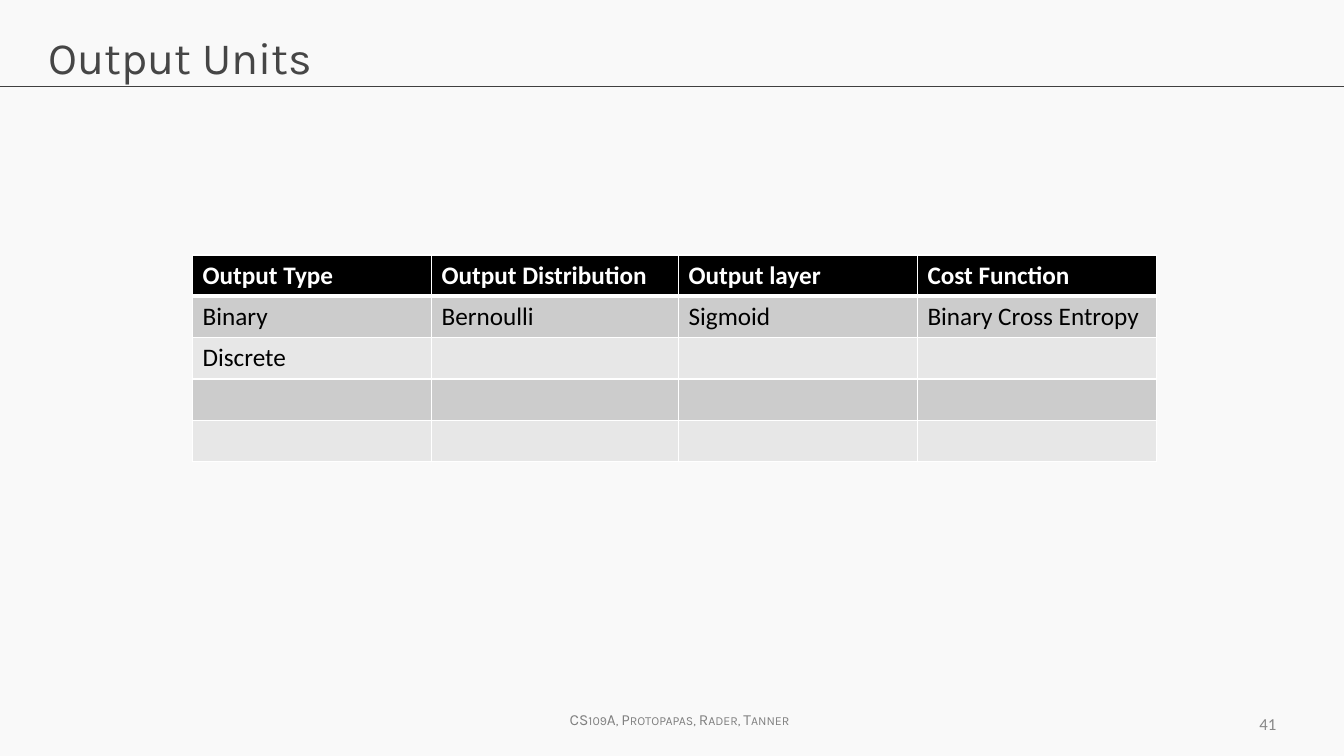
from dataclasses import dataclass

from lxml import etree
from pptx import Presentation
from pptx import util as u
from pptx.dml.color import RGBColor
from pptx.enum import shapes, text
from pptx.oxml import ns


@dataclass(frozen=True)
class Theme:
    page: str = "F9F9F9"
    title: str = "464646"
    rule: str = "404040"
    foot: str = "808080"
    num: str = "888888"
    head: str = "000000"
    bands: tuple = ("CCCCCC", "E7E7E7")
    white: str = "FFFFFF"
    black: str = "000000"
    sans: str = "Karla"
    body: str = "Calibri"
    big: int = 32
    mid: int = 18
    small: int = 12
    tiny: int = 11


@dataclass(frozen=True)
class Box:
    """A frame in inches."""
    x: float
    y: float
    w: float
    h: float

    def emu(self) -> tuple:
        return tuple(u.Inches(v) for v in (self.x, self.y, self.w, self.h))


@dataclass(frozen=True)
class Note:
    """A small line of text at the foot of the slide."""
    box: Box
    words: str
    face: str
    size: int
    color: str
    align: text.PP_ALIGN
    anchor: text.MSO_ANCHOR
    caps: bool = False


T = Theme()
WIDE, HIGH = 13.33, 7.5
RULE_Y = 0.86
TITLE = Box(0.38, 0.24, 12.57, 0.84)
COLS = (2.37, 2.45, 2.37, 2.37)
ROW = 0.41
GRID = (
    ("Output Type", "Output Distribution", "Output layer", "Cost Function"),
    ("Binary", "Bernoulli", "Sigmoid", "Binary Cross Entropy"),
    ("Discrete", "", "", ""),
    ("",) * 4,
    ("",) * 4,
)
TABLE = Box(1.91, 2.53, sum(COLS), ROW * len(GRID))
NOTES = (
    Note(Box(12.43, 7.05, 0.28, 0.27), "41", T.body, T.small, T.num,
         text.PP_ALIGN.RIGHT, text.MSO_ANCHOR.MIDDLE),
    Note(Box(5.49, 7, 2.5, 0.29), "CS109A, Protopapas, Rader, Tanner",
         T.sans, T.tiny, T.foot, text.PP_ALIGN.CENTER,
         text.MSO_ANCHOR.TOP, caps=True),
)


def rgb(code: str) -> RGBColor:
    return RGBColor.from_string(code)


def style(para, face: str, size: int, color: str, bold: bool = False) -> None:
    font = para.font
    font.name, font.size, font.bold = face, u.Pt(size), bold
    font.color.rgb = rgb(color)


def edge(cell, side: str, width: float) -> None:
    props = cell._tc.get_or_add_tcPr()
    line = etree.SubElement(props, ns.qn(f"a:ln{side}"), w=str(u.Pt(width)))
    fill = etree.SubElement(line, ns.qn("a:solidFill"))
    etree.SubElement(fill, ns.qn("a:srgbClr"), val=T.white)


def add_title(slide, words: str) -> None:
    shape = slide.shapes.title
    shape.left, shape.top, shape.width, shape.height = TITLE.emu()
    frame = shape.text_frame
    frame.text = words
    frame.vertical_anchor = text.MSO_ANCHOR.TOP
    para = frame.paragraphs[0]
    para.alignment = text.PP_ALIGN.LEFT
    style(para, T.sans, T.big, T.title)


def add_rule(slide) -> None:
    y = u.Inches(RULE_Y)
    line = slide.shapes.add_connector(
        shapes.MSO_CONNECTOR.STRAIGHT, 0, y, u.Inches(WIDE), y)
    line.line.color.rgb = rgb(T.rule)
    line.line.width = u.Pt(0.75)
    etree.SubElement(line._element.spPr, ns.qn("a:effectLst"))


def add_note(slide, note: Note) -> None:
    frame = slide.shapes.add_textbox(*note.box.emu()).text_frame
    frame.word_wrap = False
    frame.vertical_anchor = note.anchor
    if not note.caps:
        frame.margin_left = frame.margin_right = u.Inches(0.05)
    para = frame.paragraphs[0]
    para.alignment = note.align
    run = para.add_run()
    run.text = note.words
    if note.caps:
        run._r.get_or_add_rPr().set("cap", "small")
    style(para, note.face, note.size, note.color)


def add_grid(slide) -> None:
    table = slide.shapes.add_table(len(GRID), len(COLS), *TABLE.emu()).table
    for col, width in zip(table.columns, COLS):
        col.width = u.Inches(width)
    for r, words in enumerate(GRID):
        table.rows[r].height = u.Inches(ROW)
        head = r == 0
        for c, word in enumerate(words):
            cell = table.cell(r, c)
            # A thick line parts the header from the body
            widths = {"L": 1, "R": 1, "T": 3 if r == 1 else 1,
                      "B": 3 if head else 1}
            for side, width in widths.items():
                edge(cell, side, width)
            cell.fill.solid()
            cell.fill.fore_color.rgb = rgb(
                T.head if head else T.bands[(r - 1) % 2])
            if word:
                cell.text = word
            style(cell.text_frame.paragraphs[0], T.body, T.mid,
                  T.white if head else T.black, head)


def main() -> None:
    deck = Presentation()
    deck.slide_width, deck.slide_height = u.Inches(WIDE), u.Inches(HIGH)
    slide = deck.slides.add_slide(deck.slide_layouts.get_by_name("Title Only"))
    slide.background.fill.solid()
    slide.background.fill.fore_color.rgb = rgb(T.page)

    # Heading
    add_title(slide, "Output Units")
    add_rule(slide)

    # Output types and their cost functions
    add_grid(slide)

    # Foot
    for note in NOTES:
        add_note(slide, note)

    deck.save("out.pptx")


if __name__ == "__main__":
    main()
